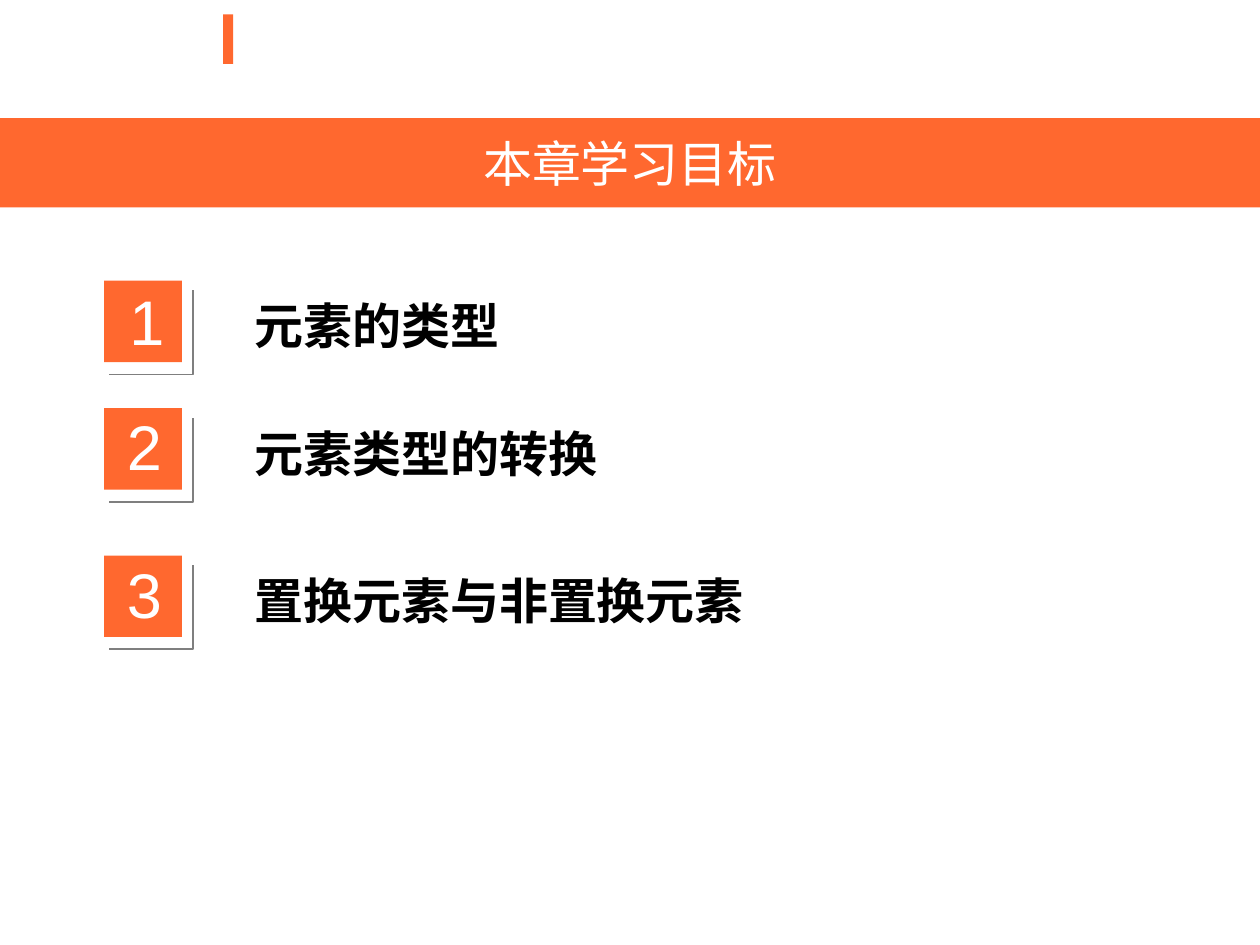
from dataclasses import dataclass

from pptx import Presentation
from pptx.dml.color import RGBColor
from pptx.enum.shapes import MSO_SHAPE
from pptx.enum.text import MSO_ANCHOR, MSO_AUTO_SIZE, PP_ALIGN
from pptx.util import Cm, Pt

RECTANGLE = MSO_SHAPE.RECTANGLE
MIDDLE = MSO_ANCHOR.MIDDLE
GROW = MSO_AUTO_SIZE.SHAPE_TO_FIT_TEXT
CENTER = PP_ALIGN.CENTER


@dataclass(frozen=True)
class Theme:
    font: str = "Arial"
    accent: RGBColor = RGBColor(0xFF, 0x68, 0x2F)
    light: RGBColor = RGBColor(0xFF, 0xFF, 0xFF)
    dark: RGBColor = RGBColor(0, 0, 0)
    edge: RGBColor = RGBColor(0x7F, 0x7F, 0x7F)
    heading_size: int = 28
    number_size: int = 36
    edge_width: int = 1


THEME = Theme()

# Number, goal, top of the square and nudge (right, down) of the digit, in cm
GOALS = [
    ("1", "元素的类型", 5.66, (0.05, 0.05)),
    ("2", "元素类型的转换", 8.23, (0, 0)),
    ("3", "置换元素与非置换元素", 11.2, (0, 0)),
]


def write_text(shape, text, size, color, bold=False):
    paragraph = shape.text_frame.paragraphs[0]
    run = paragraph.add_run()
    run.text = text
    formats = {"name": THEME.font, "size": Pt(size), "bold": bold}
    for name, value in formats.items():
        setattr(run.font, name, value)
    run.font.color.rgb = color
    return paragraph


def add_block(slide, left, top, width, height):
    block = slide.shapes.add_shape(
        RECTANGLE, Cm(left), Cm(top), Cm(width), Cm(height))
    block.shadow.inherit = False
    block.fill.solid()
    block.fill.fore_color.rgb = THEME.accent
    block.line.fill.background()
    return block


def add_label(slide, left, top, width, height, text, size, color, bold=False):
    label = slide.shapes.add_textbox(Cm(left), Cm(top), Cm(width), Cm(height))
    formats = {"word_wrap": True, "auto_size": GROW}
    for name, value in formats.items():
        setattr(label.text_frame, name, value)
    write_text(label, text, size, color, bold)


def add_corner(slide, left, top, width, height):
    """Draw a thin line along the bottom and right edges of an area."""
    right, bottom = Cm(left + width), Cm(top + height)
    builder = slide.shapes.build_freeform(Cm(left), bottom)
    builder.add_line_segments([(right, bottom), (right, Cm(top))], close=False)
    corner = builder.convert_to_shape()
    corner.shadow.inherit = False
    corner.fill.background()
    corner.line.color.rgb = THEME.edge
    corner.line.width = Pt(THEME.edge_width)


def add_banner(slide, text):
    banner = add_block(slide, 0, 2.38, 25.4, 1.8)
    banner.text_frame.vertical_anchor = MIDDLE
    paragraph = write_text(banner, text, THEME.heading_size, THEME.light)
    paragraph.alignment = CENTER


def add_goal(slide, number, goal, top, nudge):
    right, down = nudge
    add_block(slide, 2.1, top, 1.57, 1.64)
    add_label(slide, 2.31 + right, top - 0.13 + down, 1.3, 1.8,
              number, THEME.number_size, THEME.light)
    add_corner(slide, 2.2, top + 0.19, 1.69, 1.7)
    add_label(slide, 4.88, top + 0.18, 19.53, 1.45,
              goal, THEME.heading_size, THEME.dark, bold=True)


def main():
    presentation = Presentation()
    presentation.slide_width = Cm(25.4)
    presentation.slide_height = Cm(19.05)
    slide = presentation.slides.add_slide(presentation.slide_layouts[6])
    add_block(slide, 4.5, 0.29, 0.2, 1)
    add_banner(slide, "本章学习目标")
    for goal in GOALS:
        add_goal(slide, *goal)
    presentation.save("out.pptx")


if __name__ == "__main__":
    main()
